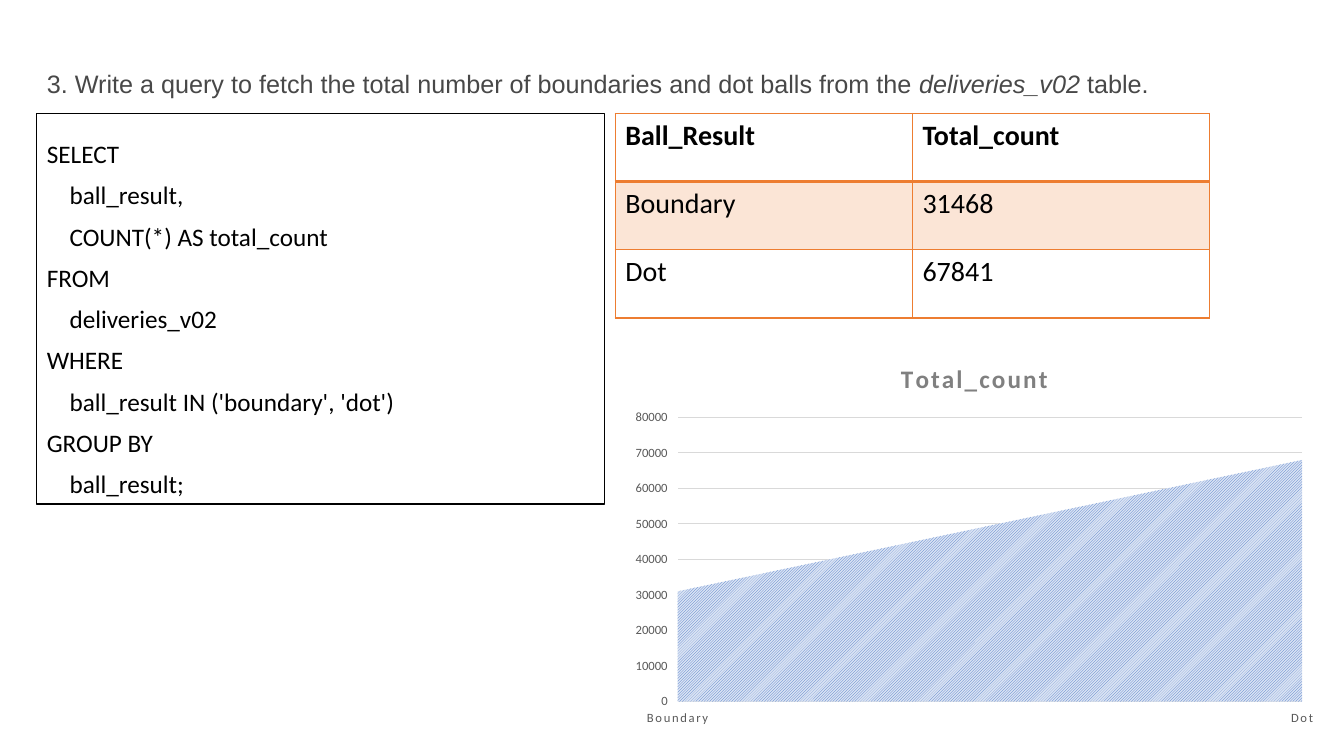
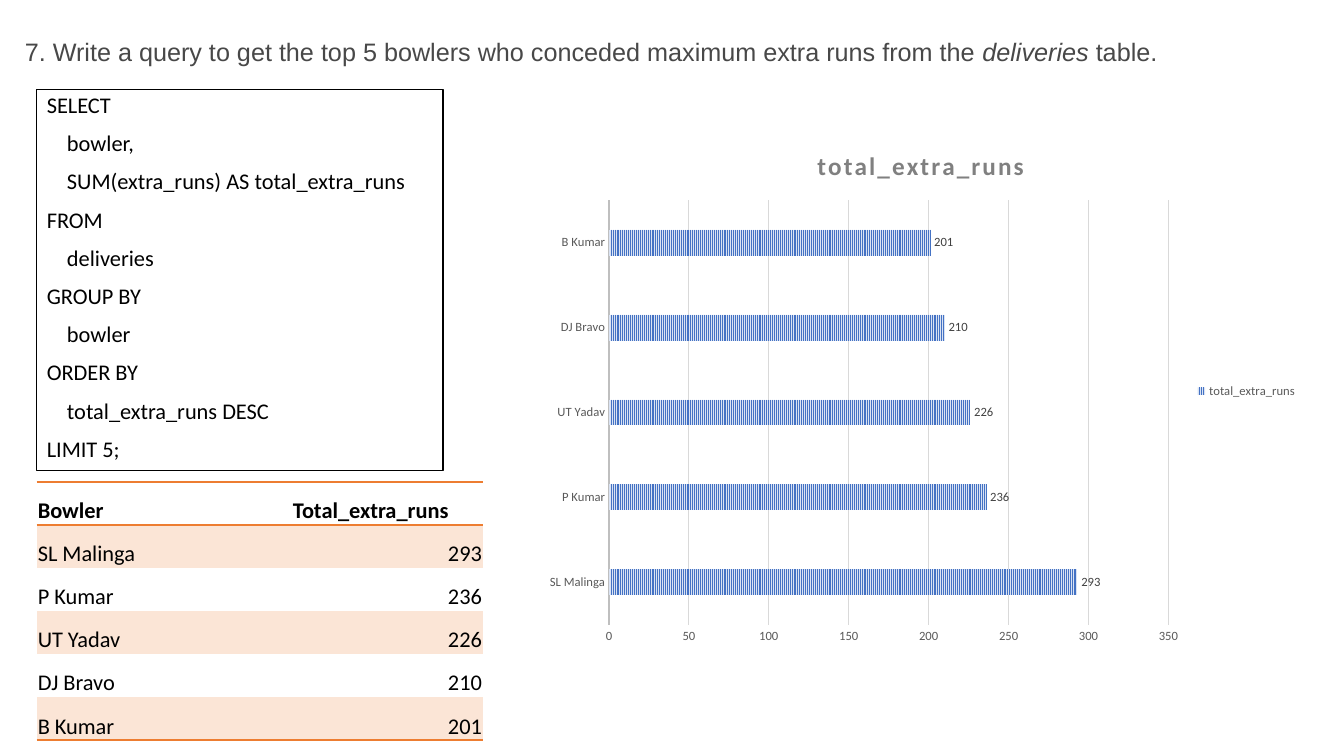
from lxml.etree import SubElement
from pptx import Presentation
from pptx.chart.data import CategoryChartData
from pptx.dml.color import RGBColor
from pptx.enum.chart import (XL_CHART_TYPE, XL_LABEL_POSITION,
                             XL_LEGEND_POSITION, XL_TICK_MARK)
from pptx.enum.dml import MSO_PATTERN
from pptx.enum.text import MSO_ANCHOR, MSO_AUTO_SIZE, PP_ALIGN
from pptx.oxml.ns import qn
from pptx.util import Pt

PX = 9525  # EMU in one px, 96 px to the inch
HEX = {
    "title": "484848", "text": "000000", "paper": "FFFFFF",
    "accent": "ED7D31", "band": "FBE5D6",
    "series": "4472C4", "pale": "DAE3F3",
    "head": "808080", "axis": "595959", "label": "404040",
    "grid": "D9D9D9", "line": "BFBFBF",
}
PLAIN = "{2D5ABB26-0587-4C30-8999-92F81FD0307C}"  # table style without lines


def rgb(name):
    return RGBColor.from_string(HEX[name])


def emu(box):
    return [n * PX for n in box]


def style(font, size, color, face="Calibri", bold=None):
    font.name, font.size, font.bold = face, Pt(size), bold
    font.color.rgb = rgb(color)


def place(shape, box):
    shape.left, shape.top, shape.width, shape.height = emu(box)
    frame = shape.text_frame
    frame.word_wrap = True
    frame.auto_size = MSO_AUTO_SIZE.NONE
    return frame


# Question: plain text with the table name in italics
def put_title(slide, box, lead, name):
    frame = place(slide.shapes.title, box)
    frame.vertical_anchor = MSO_ANCHOR.MIDDLE
    para = frame.paragraphs[0]
    para.alignment = PP_ALIGN.LEFT
    para.line_spacing = 0.9
    style(para.font, 18, "title", "Arial")
    for text, slant in ((lead, False), (name, True), (" table.", False)):
        run = para.add_run()
        run.text = text
        run.font.italic = slant


# Framed query, one paragraph for each line of code
def put_code(slide, box, code, size, anchor):
    shape = slide.placeholders[1]
    frame = place(shape, box)
    frame.vertical_anchor = anchor
    shape.fill.solid()
    shape.fill.fore_color.rgb = rgb("paper")
    shape.line.color.rgb = rgb("text")
    shape.line.width = Pt(1)
    for i, line in enumerate(code):
        para = frame.add_paragraph() if i else frame.paragraphs[0]
        para.text = line
        props = para._p.get_or_add_pPr()
        props.set("marL", "0")
        props.set("indent", "0")
        SubElement(props, qn("a:buNone"))
        para.line_spacing = 0.9
        para.space_before = Pt(10 if i else 0)
        style(para.font, size, "text")


def edge(cell, side, width):
    line = SubElement(cell._tc.get_or_add_tcPr(), qn("a:ln" + side),
                      w=str(Pt(width)))
    if width:
        fill = SubElement(line, qn("a:solidFill"))
        SubElement(fill, qn("a:srgbClr"), val=HEX["accent"])
    else:
        SubElement(line, qn("a:noFill"))


# Result table: rules holds the line widths from top to bottom
def put_table(slide, spot, cols, high, rows, size, rules, side=0, tight=False):
    box = (*spot, sum(cols), high * len(rows))
    table = slide.shapes.add_table(len(rows), len(cols), *emu(box)).table
    table._tbl.tblPr.find(qn("a:tableStyleId")).text = PLAIN
    for col, wide in zip(table.columns, cols):
        col.width = wide * PX
    for r, row in enumerate(rows):
        table.rows[r].height = high * PX
        for c, value in enumerate(row):
            cell = table.cell(r, c)
            cell.text = str(value)
            if tight:
                cell.margin_left = cell.margin_right = cell.margin_top = PX
                cell.margin_bottom = 0
                cell.vertical_anchor = MSO_ANCHOR.BOTTOM
            for name, width in zip("LRTB", (side, side, rules[r], rules[r + 1])):
                edge(cell, name, width)
            if r % 2:
                cell.fill.solid()
                cell.fill.fore_color.rgb = rgb("band")
            else:
                cell.fill.background()
            para = cell.text_frame.paragraphs[0]
            if tight and r and c:
                para.alignment = PP_ALIGN.RIGHT
            style(para.font, size, "text", bold=r == 0)


# Chart with one patterned series
def put_chart(slide, box, kind, name, pairs, pattern, tick):
    data = CategoryChartData()
    data.categories = [label for label, _ in pairs]
    data.add_series(name, [value for _, value in pairs])
    chart = slide.shapes.add_chart(kind, *emu(box), data).chart
    style(chart.font, 10, "text")
    chart.has_legend = False
    chart.has_title = True
    para = chart.chart_title.text_frame.paragraphs[0]
    run = para.add_run()
    run.text = name
    style(run.font, 18, "head", bold=True)
    run._r.get_or_add_rPr().set("spc", "150")
    for axis in (chart.category_axis, chart.value_axis):
        axis.major_tick_mark = tick
        axis.minor_tick_mark = XL_TICK_MARK.NONE
        style(axis.tick_labels.font, 9, "axis")
        axis.format.line.fill.background()
    chart.value_axis.has_major_gridlines = True
    grid = chart.value_axis.major_gridlines.format.line
    grid.color.rgb = rgb("grid")
    grid.width = Pt(0.75)
    plot = chart.plots[0]
    plot.vary_by_categories = False
    fill = plot.series[0].format.fill
    fill.patterned()
    fill.pattern = pattern
    fill.fore_color.rgb = rgb("series")
    fill.back_color.rgb = rgb("pale")
    return chart


def space_names(chart):
    for props in chart.category_axis._element.iter(qn("a:defRPr")):
        props.set("spc", "120")


def dress_bars(chart):
    line = chart.category_axis.format.line
    line.color.rgb = rgb("line")
    line.width = Pt(1.5)
    plot = chart.plots[0]
    plot.gap_width, plot.overlap = 227, -48
    plot.has_data_labels = True
    labels = plot.data_labels
    labels.show_value = True
    labels.position = XL_LABEL_POSITION.OUTSIDE_END
    style(labels.font, 9, "label")
    chart.has_legend = True
    chart.legend.position = XL_LEGEND_POSITION.RIGHT
    chart.legend.include_in_layout = False
    style(chart.legend.font, 9, "axis")


def balls(slide):
    rows = [("Ball_Result", "Total_count"), ("Boundary", 31468), ("Dot", 67841)]
    pairs = [("Boundary", 31000), ("Dot", 68000)]
    code = ["SELECT", "    ball_result,", "    COUNT(*) AS total_count",
            "FROM", "    deliveries_v02",
            "WHERE", "    ball_result IN ('boundary', 'dot')",
            "GROUP BY", "    ball_result;"]
    put_title(slide, (35, 11, 1104, 141),
              "3. Write a query to fetch the total number of boundaries "
              "and dot balls from the ", "deliveries_v02")
    put_code(slide, (35, 108, 541, 372), code, 18, MSO_ANCHOR.BOTTOM)
    put_table(slide, (586, 108), (283, 283), 65, rows, 20, (1, 2, 1, 1), side=1)
    chart = put_chart(slide, (592, 327, 672, 372), XL_CHART_TYPE.AREA,
                      "Total_count", pairs,
                      MSO_PATTERN.LIGHT_UPWARD_DIAGONAL, XL_TICK_MARK.OUTSIDE)
    space_names(chart)


def bowlers(slide):
    rows = [("Bowler", "Total_extra_runs"), ("SL Malinga", 293),
            ("P Kumar", 236), ("UT Yadav", 226), ("DJ Bravo", 210),
            ("B Kumar", 201)]
    code = ["SELECT", "    bowler,", "    SUM(extra_runs) AS total_extra_runs",
            "FROM", "    deliveries", "GROUP BY", "    bowler",
            "ORDER BY", "    total_extra_runs DESC", "LIMIT 5;"]
    put_title(slide, (14, 16, 1125, 70),
              "7. Write a query to get the top 5 bowlers who conceded "
              "maximum extra runs from the ", "deliveries")
    put_code(slide, (35, 85, 387, 363), code, 16, MSO_ANCHOR.TOP)
    put_table(slide, (35, 459), (243, 182), 41, rows, 16,
              (1, 1, 0, 0, 0, 0, 1), tight=True)
    chart = put_chart(slide, (509, 122, 736, 501), XL_CHART_TYPE.BAR_CLUSTERED,
                      "total_extra_runs", rows[1:],
                      MSO_PATTERN.NARROW_VERTICAL, XL_TICK_MARK.NONE)
    dress_bars(chart)


def main():
    deck = Presentation()
    deck.slide_width, deck.slide_height = emu((1280, 720))
    for build in (balls, bowlers):
        build(deck.slides.add_slide(deck.slide_layouts[1]))
    deck.save("out.pptx")


if __name__ == "__main__":
    main()
